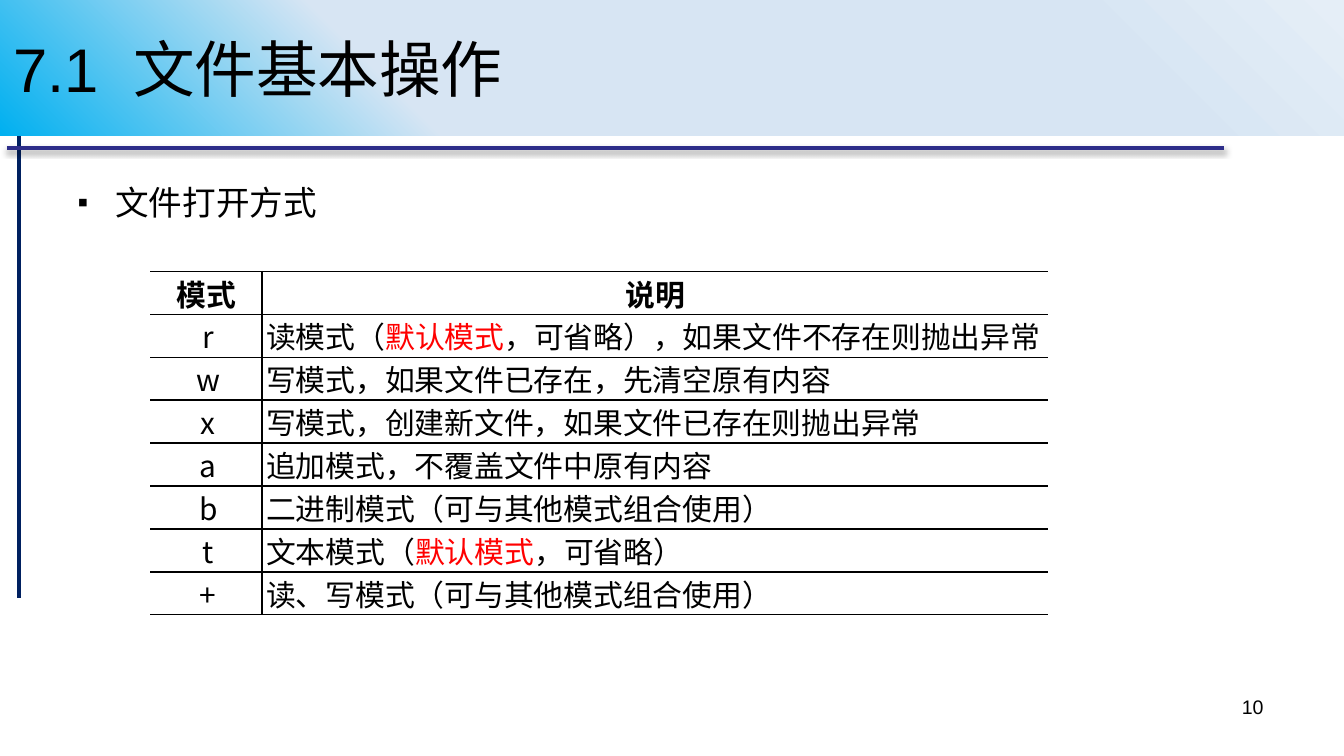
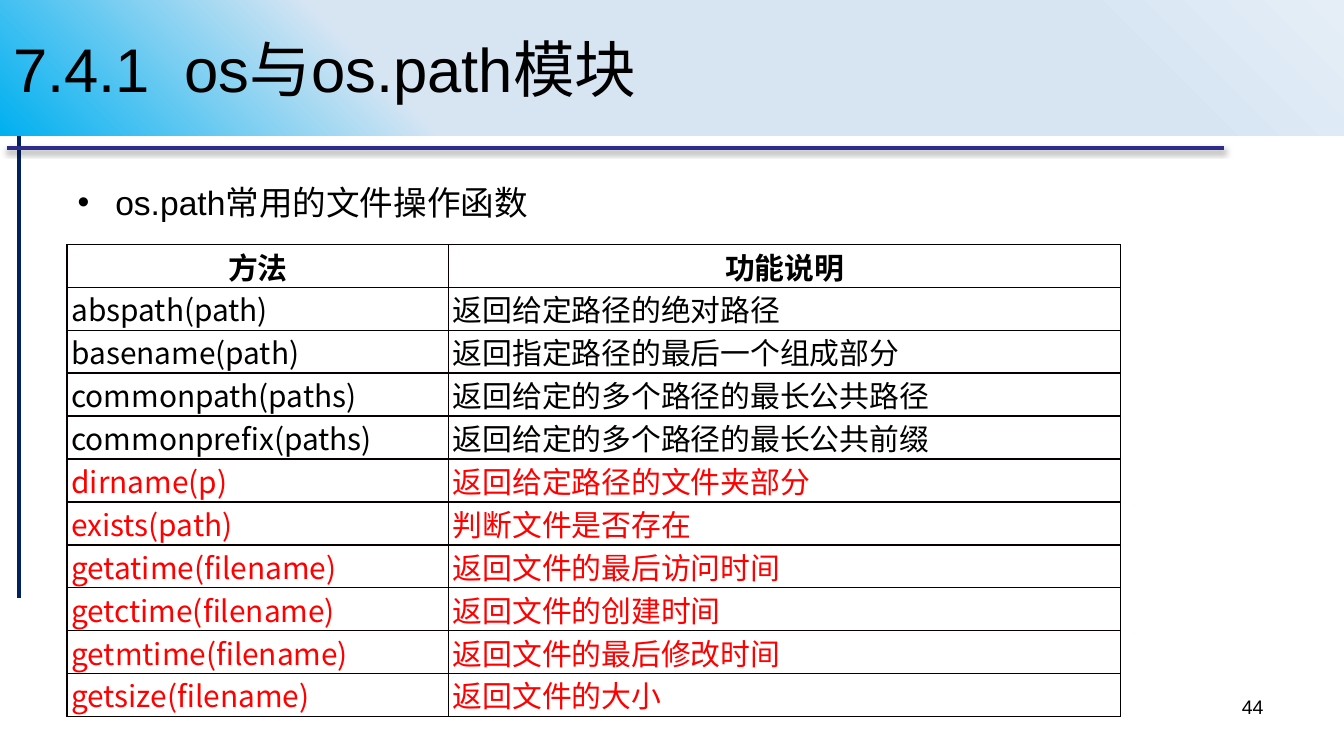
from pptx import Presentation
from pptx.dml.color import RGBColor
from pptx.enum import shapes as es, text as et
from pptx.oxml import parse_xml
from pptx.oxml.ns import nsdecls
from pptx.util import Cm, Pt

# Content: words between asterisks are red, as are rows from "red" on
SLIDES = [
    dict(
        title="7.1  文件基本操作", point="文件打开方式", page="10",
        bullet="▪", scale=90, left=2.84, top=5.13, cols=(2.11, 14.86),
        key="center", red=99, edge="000000", outer=None,
        rows=[
            ("模式", "说明"),
            ("r", "读模式（*默认模式*，可省略），如果文件不存在则抛出异常"),
            ("w", "写模式，如果文件已存在，先清空原有内容"),
            ("x", "写模式，创建新文件，如果文件已存在则抛出异常"),
            ("a", "追加模式，不覆盖文件中原有内容"),
            ("b", "二进制模式（可与其他模式组合使用）"),
            ("t", "文本模式（*默认模式*，可省略）"),
            ("+", "读、写模式（可与其他模式组合使用）"),
        ]),
    dict(
        title="7.4.1  os与os.path模块", point="os.path常用的文件操作函数", page="44",
        bullet="•", scale=100, left=1.27, top=4.62, cols=(7.21, 12.7),
        key="left", red=5, edge="080000", outer=("080000", 1, "000000", 0.75),
        rows=[
            ("方法", "功能说明"),
            ("abspath(path)", "返回给定路径的绝对路径"),
            ("basename(path)", "返回指定路径的最后一个组成部分"),
            ("commonpath(paths)", "返回给定的多个路径的最长公共路径"),
            ("commonprefix(paths)", "返回给定的多个路径的最长公共前缀"),
            ("dirname(p)", "返回给定路径的文件夹部分"),
            ("exists(path)", "判断文件是否存在"),
            ("getatime(filename)", "返回文件的最后访问时间"),
            ("getctime(filename)", "返回文件的创建时间"),
            ("getmtime(filename)", "返回文件的最后修改时间"),
            ("getsize(filename)", "返回文件的大小"),
        ]),
]

# Shared style
BLACK = RGBColor(0, 0, 0)
RED = RGBColor(0xFF, 0, 0)
NAVY = RGBColor(0x00, 0x20, 0x60)
INDIGO = RGBColor(0x2D, 0x2D, 0x89)
BAND = [(0, "00B0F0"), (30, "D7E5F3"), (81, "D7E5F3"), (100, "E5EEF7")]
SANS, CJK = "Arial", "Noto Sans CJK SC"
ALIGN = dict(left=et.PP_ALIGN.LEFT, center=et.PP_ALIGN.CENTER, right=et.PP_ALIGN.RIGHT)
WIDE, HIGH, ROW = 25.4, 14.28, 0.81


def node(tag, body="", attrs=""):
    return parse_xml(f'<a:{tag} {nsdecls("a")} {attrs}>{body}</a:{tag}>')


def write(frame, words, size=16, font=SANS, color=BLACK, bold=False, align="left"):
    par = frame.paragraphs[0]
    par.alignment = ALIGN[align]
    for i, part in enumerate(words.split("*")):
        run = par.add_run()
        run.text = part
        face = run.font
        face.size, face.name, face.bold = Pt(size), font, bold
        face.color.rgb = RED if i % 2 else color
        run._r.get_or_add_rPr().append(node("ea", attrs=f'typeface="{CJK}"'))
    return par


def rule(slide, ends, color, shade=""):
    line = slide.shapes.add_connector(es.MSO_CONNECTOR.STRAIGHT, *map(Cm, ends))
    line.line.color.rgb = color
    line.line.width = Pt(2.25)
    line._element.spPr.append(node("effectLst", shade))


def box(slide, area):
    frame = slide.shapes.add_textbox(*map(Cm, area)).text_frame
    frame.word_wrap = True
    return frame


def frame_rules(slide):
    rule(slide, (0.36, 2.07, 0.36, 11.3), NAVY)
    rule(slide, (0.13, 2.79, 23.14, 2.79), INDIGO,
         '<a:outerShdw blurRad="39370" dist="22860" dir="5400000" rotWithShape="0">'
         '<a:srgbClr val="000000"><a:alpha val="35000"/></a:srgbClr></a:outerShdw>')


def band(slide, title):
    bar = slide.shapes.add_shape(es.MSO_SHAPE.RECTANGLE, 0, 0, Cm(WIDE), Cm(2.57))
    bar.shadow.inherit = False
    bar.line.fill.background()
    stops = "".join(f'<a:gs pos="{at * 1000}"><a:srgbClr val="{tone}"/></a:gs>'
                    for at, tone in BAND)
    bar._element.spPr.insert(2, node(
        "gradFill", f'<a:gsLst>{stops}</a:gsLst><a:path path="circle">'
        '<a:fillToRect t="100000" r="100000"/></a:path>', 'rotWithShape="1"'))
    bar.text_frame.word_wrap = True
    bar.text_frame.vertical_anchor = et.MSO_ANCHOR.MIDDLE
    write(bar.text_frame, title, size=33)


def point(slide, item):
    frame = box(slide, (1.27, 3.33, 22.86, 9.42))
    frame.margin_left = frame.margin_right = Cm(0.2)
    frame.margin_top = frame.margin_bottom = Cm(0.1)
    props = write(frame, item["point"], size=18)._p.get_or_add_pPr()
    props.set("marL", str(Cm(0.71)))
    props.set("indent", str(-Cm(0.71)))
    props.append(node("spcBef", '<a:spcPct val="15000"/>'))
    props.append(node("buSzPct", attrs=f'val="{item["scale"] * 1000}"'))
    props.append(node("buFont", attrs=f'typeface="{SANS}"'))
    props.append(node("buChar", attrs=f'char="{item["bullet"]}"'))


def border(cell, item, col):
    inner = (item["edge"], 1)
    outer = item["outer"]
    sides = dict(L=inner, R=inner, T=inner, B=inner)
    if col == 0:
        sides["L"] = outer and outer[:2]
    else:
        sides["R"] = outer and outer[2:]
    props = cell._tc.get_or_add_tcPr()
    for side, look in sides.items():
        fill = (f'<a:solidFill><a:srgbClr val="{look[0]}"/></a:solidFill>'
                if look else "<a:noFill/>")
        width = Pt(look[1]) if look else 0
        props.append(node("ln" + side, fill, f'w="{width}"'))


def grid(slide, item):
    rows, cols = item["rows"], item["cols"]
    area = item["left"], item["top"], sum(cols), ROW * len(rows)
    table = slide.shapes.add_table(len(rows), len(cols), *map(Cm, area)).table
    table.first_row = table.horz_banding = False
    for col, width in zip(table.columns, cols):
        col.width = Cm(width)
    for r, row in enumerate(rows):
        table.rows[r].height = Cm(ROW)
        for c, words in enumerate(row):
            cell = table.cell(r, c)
            cell.margin_left = Cm(0.08 if r else 0)
            cell.margin_right = cell.margin_top = cell.margin_bottom = 0
            border(cell, item, c)
            cell.fill.background()
            align = "center" if r == 0 else item["key"] if c == 0 else "left"
            write(cell.text_frame, words, font=CJK, bold=r == 0, align=align,
                  color=RED if r >= item["red"] else BLACK)


# Build
deck = Presentation()
deck.slide_width, deck.slide_height = Cm(WIDE), Cm(HIGH)
for item in SLIDES:
    slide = deck.slides.add_slide(deck.slide_layouts[6])
    frame_rules(slide)
    band(slide, item["title"])
    point(slide, item)
    grid(slide, item)
    write(box(slide, (18.21, 13, 5.92, 0.99)), item["page"], size=10.5, align="right")
deck.save("out.pptx")
